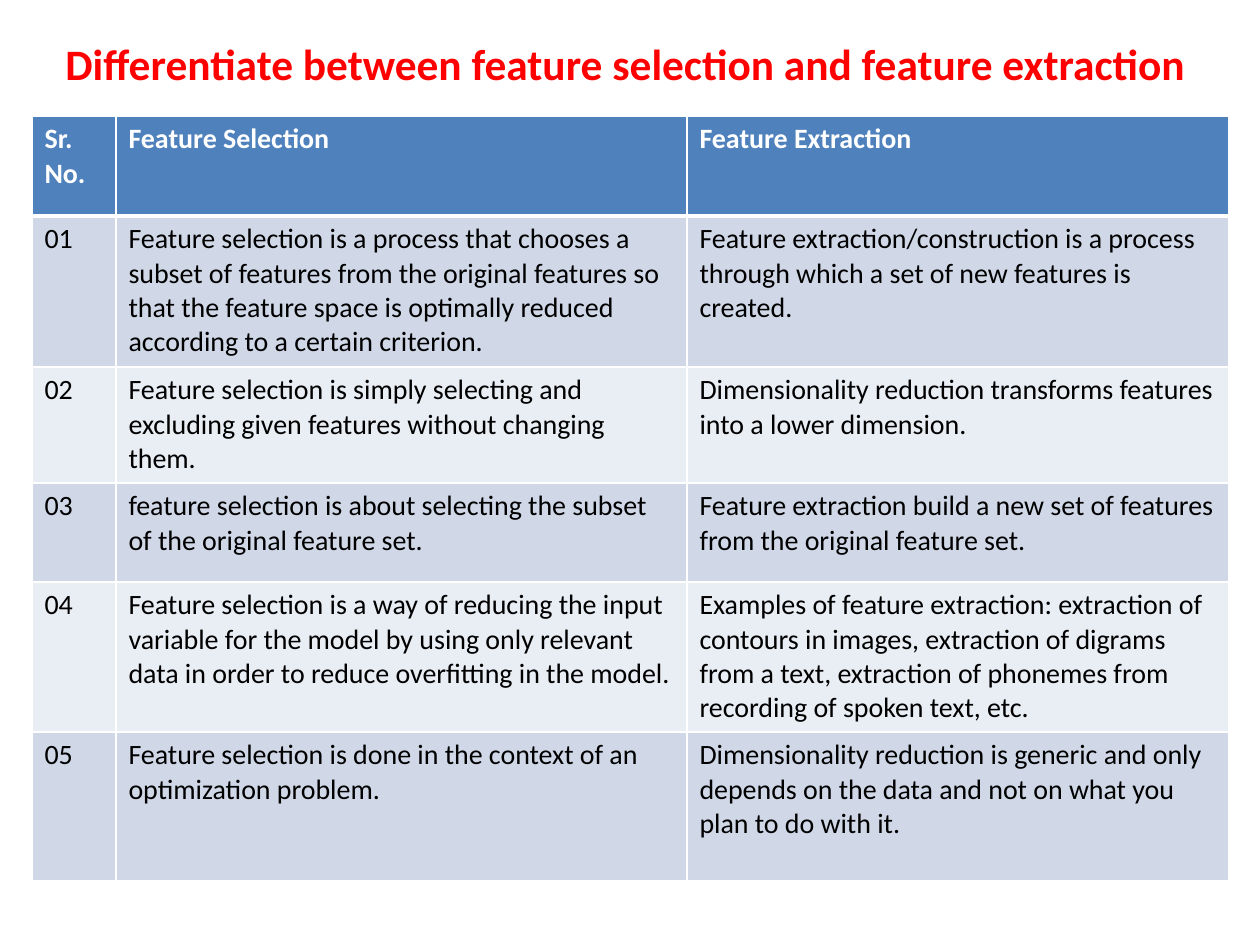
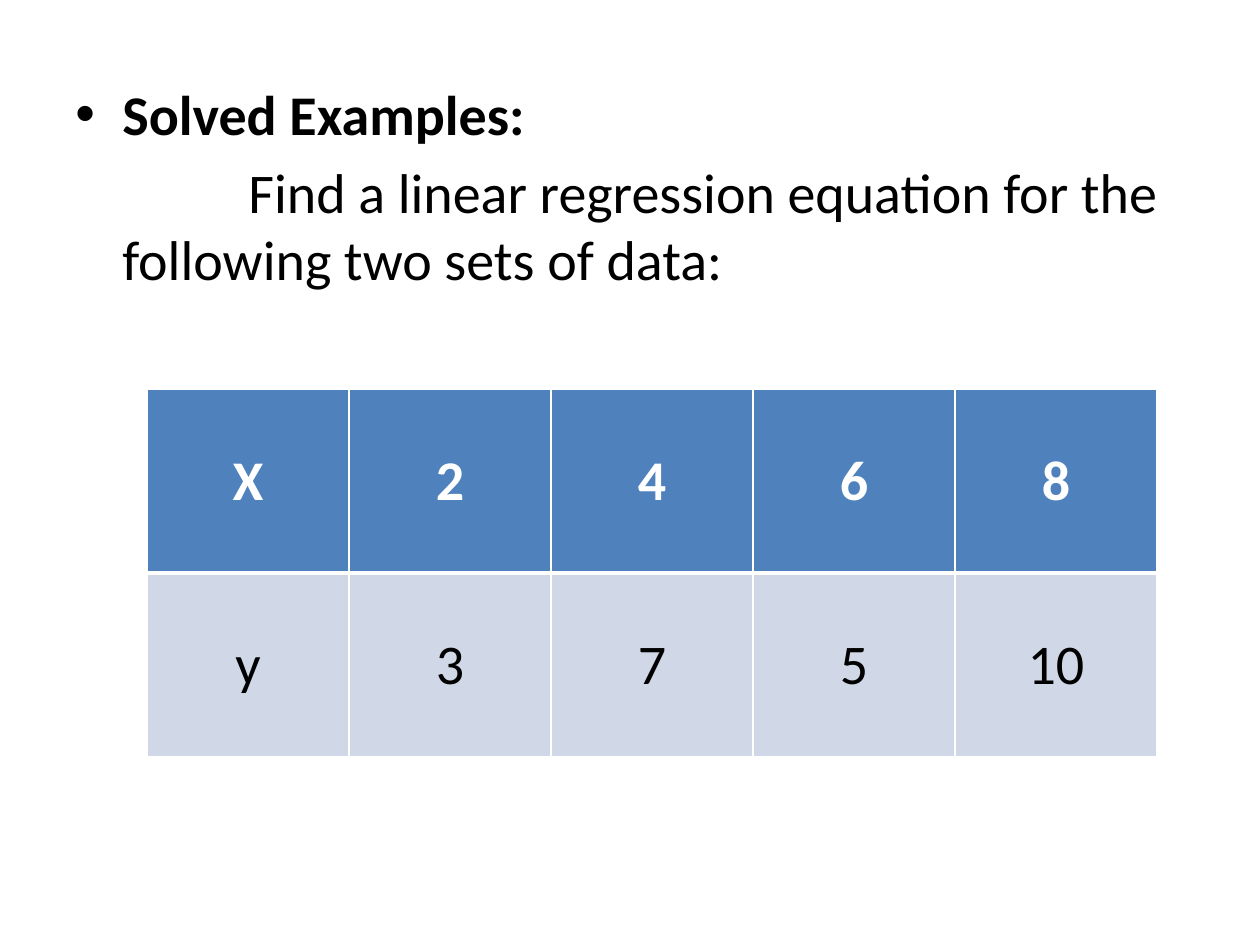
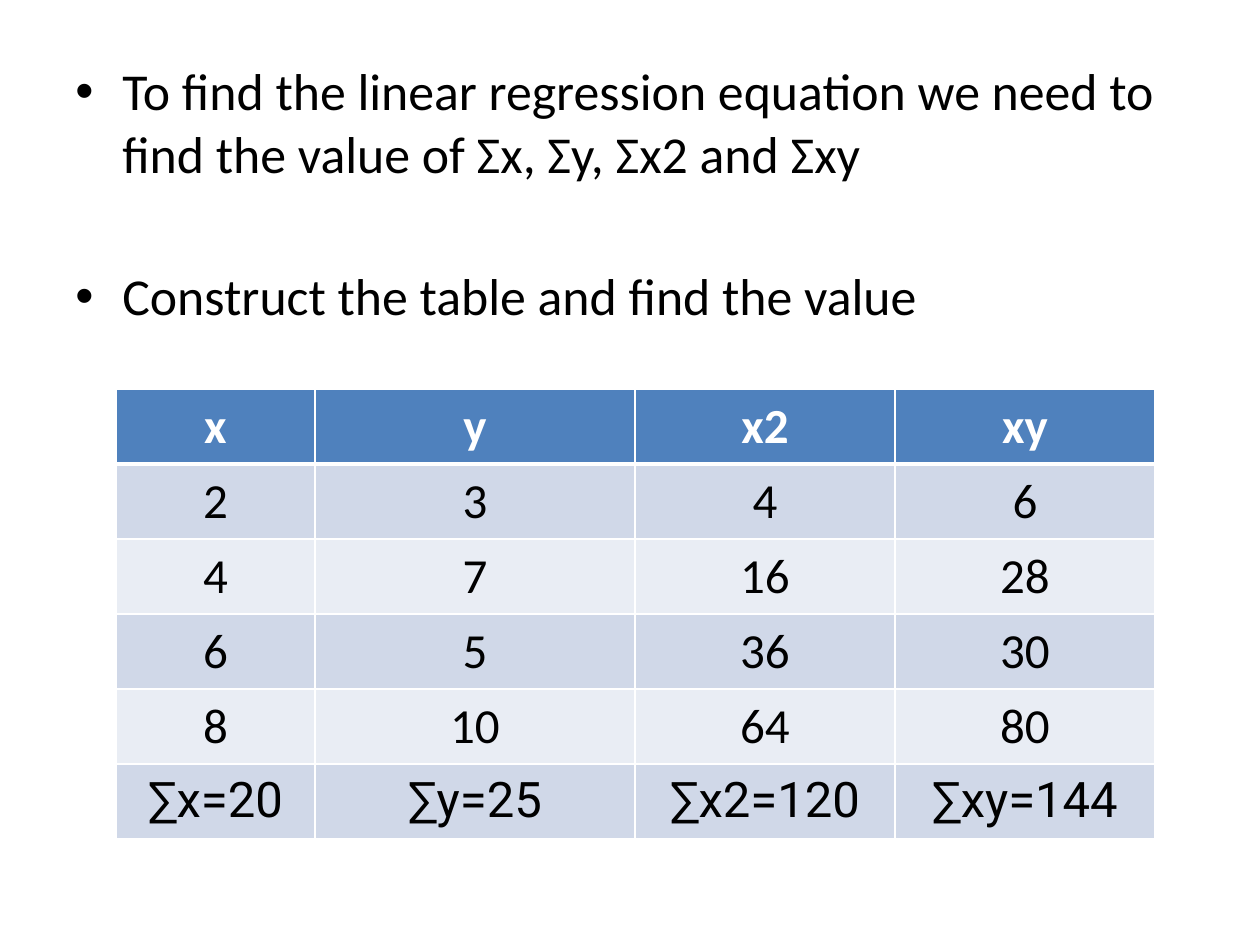
from lxml.etree import SubElement
from pptx import Presentation
from pptx.dml.color import RGBColor
from pptx.enum.text import MSO_ANCHOR as Anchor, PP_ALIGN as Align
from pptx.oxml.ns import qn
from pptx.util import Inches, Pt

PX = Inches(1) / 126
COLORS = {
    "title": "FF0000",
    "text": "000000",
    "header_text": "FFFFFF",
    "border": "FFFFFF",
    "header": "4F81BD",
    "odd_row": "D0D8E8",
    "even_row": "E9EDF4",
}
HANGING = 47


def add_run(paragraph, text, size, color="text", bold=False, font="Calibri"):
    run = paragraph.add_run()
    run.text = text
    run.font.name = font
    run.font.size = Pt(size)
    run.font.bold = bold
    run.font.color.rgb = RGBColor.from_string(COLORS[color])


def add_grid(slide, left, top, widths, heights, rows, size, centered=True):
    box = [round(n * PX) for n in (left, top, sum(widths), sum(heights))]
    table = slide.shapes.add_table(len(rows), len(widths), *box).table
    for column, width in zip(table.columns, widths):
        column.width = round(width * PX)
    for r, (texts, height) in enumerate(zip(rows, heights)):
        table.rows[r].height = round(height * PX)
        band = "header" if r == 0 else "odd_row" if r % 2 else "even_row"
        for c, text in enumerate(texts):
            cell = table.cell(r, c)
            props = cell._tc.get_or_add_tcPr()
            for side in ("lnL", "lnR", "lnT", "lnB"):
                thick = (r, side) in ((0, "lnB"), (1, "lnT"))
                line = SubElement(props, qn(f"a:{side}"), w=str(Pt(3 if thick else 1)))
                paint = SubElement(line, qn("a:solidFill"))
                SubElement(paint, qn("a:srgbClr"), val=COLORS["border"])
            cell.fill.solid()
            cell.fill.fore_color.rgb = RGBColor.from_string(COLORS[band])
            paragraph = cell.text_frame.paragraphs[0]
            if centered:
                cell.vertical_anchor = Anchor.MIDDLE
                paragraph.alignment = Align.CENTER
            add_run(paragraph, text, size, "header_text" if r == 0 else "text", r == 0,
                    "Roboto" if text.startswith("∑") else "Calibri")


prs = Presentation()
prs.slide_width = Inches(10)
prs.slide_height = Inches(7.5)
blank = prs.slide_layouts[6]

comparison = [
    ("Sr. No.", "Feature Selection", "Feature Extraction"),
    ("01",
     "Feature selection is a process that chooses a subset of features from the original "
     "features so that the feature space is optimally reduced according to a certain criterion.",
     "Feature extraction/construction is a process through which a set of new features is created."),
    ("02",
     "Feature selection is simply selecting and excluding given features without changing them.",
     "Dimensionality reduction transforms features into a lower dimension."),
    ("03",
     "feature selection is about selecting the subset of the original feature set.",
     "Feature extraction build a new set of features from the original feature set."),
    ("04",
     "Feature selection is a way of reducing the input variable for the model by using only "
     "relevant data in order to reduce overfitting in the model.",
     "Examples of feature extraction: extraction of contours in images, extraction of digrams "
     "from a text, extraction of phonemes from recording of spoken text, etc."),
    ("05",
     "Feature selection is done in the context of an optimization problem.",
     "Dimensionality reduction is generic and only depends on the data and not on what you "
     "plan to do with it."),
]
observations = [("X", "2", "4", "6", "8"), ("y", "3", "7", "5", "10")]
sums = [
    ("x", "y", "x2", "xy"),
    ("2", "3", "4", "6"),
    ("4", "7", "16", "28"),
    ("6", "5", "36", "30"),
    ("8", "10", "64", "80"),
    ("∑x=20", "∑y=25", "∑x2=120", "∑xy=144"),
]

differences = prs.slides.add_slide(blank)
heading = differences.shapes.add_textbox(*[round(n * PX) for n in (53, 32, 1176, 63)]).text_frame
heading.word_wrap = True
heading.vertical_anchor = Anchor.MIDDLE
add_run(heading.paragraphs[0], "Differentiate between feature selection and feature extraction",
        24.8, "title", True)
add_grid(differences, 32, 116, [84, 571, 542], [100, 151, 116, 99, 150, 149],
         comparison, 16, centered=False)

example_points = [
    ("Solved Examples:", True, True, 0),
    ("Find a linear regression equation for the following two sets of data:", False, False, 6.4),
]
sum_points = [
    ("To find the linear regression equation we need to find the value of Σx, Σy, Σx2 and Σxy",
     True, False, 0),
    ("Construct the table and find the value", True, False, 46),
]
worked_slides = [
    (73, 210, 32, example_points, (147, 389, [202] * 5, [184] * 2, observations, 32)),
    (53, 273, 29.6, sum_points, (116, 389, [199, 320, 260, 260], [75] * 6, sums, 28)),
]
for top, height, size, points, grid in worked_slides:
    slide = prs.slides.add_slide(blank)
    body = slide.shapes.add_textbox(*[round(n * PX) for n in (63, top, 1134, height)]).text_frame
    body.word_wrap = True
    for i, (text, bulleted, bold, gap) in enumerate(points):
        paragraph = body.add_paragraph() if i else body.paragraphs[0]
        paragraph.space_before = Pt(gap)
        props = paragraph._p.get_or_add_pPr()
        props.set("marL", str(round(HANGING * PX)))
        props.set("indent", str(round((-HANGING if bulleted else 126) * PX)))
        if bulleted:
            SubElement(props, qn("a:buFont"), typeface="Arial")
            SubElement(props, qn("a:buChar"), char="•")
        add_run(paragraph, text, size, bold=bold)
    add_grid(slide, *grid)

prs.save("out.pptx")
